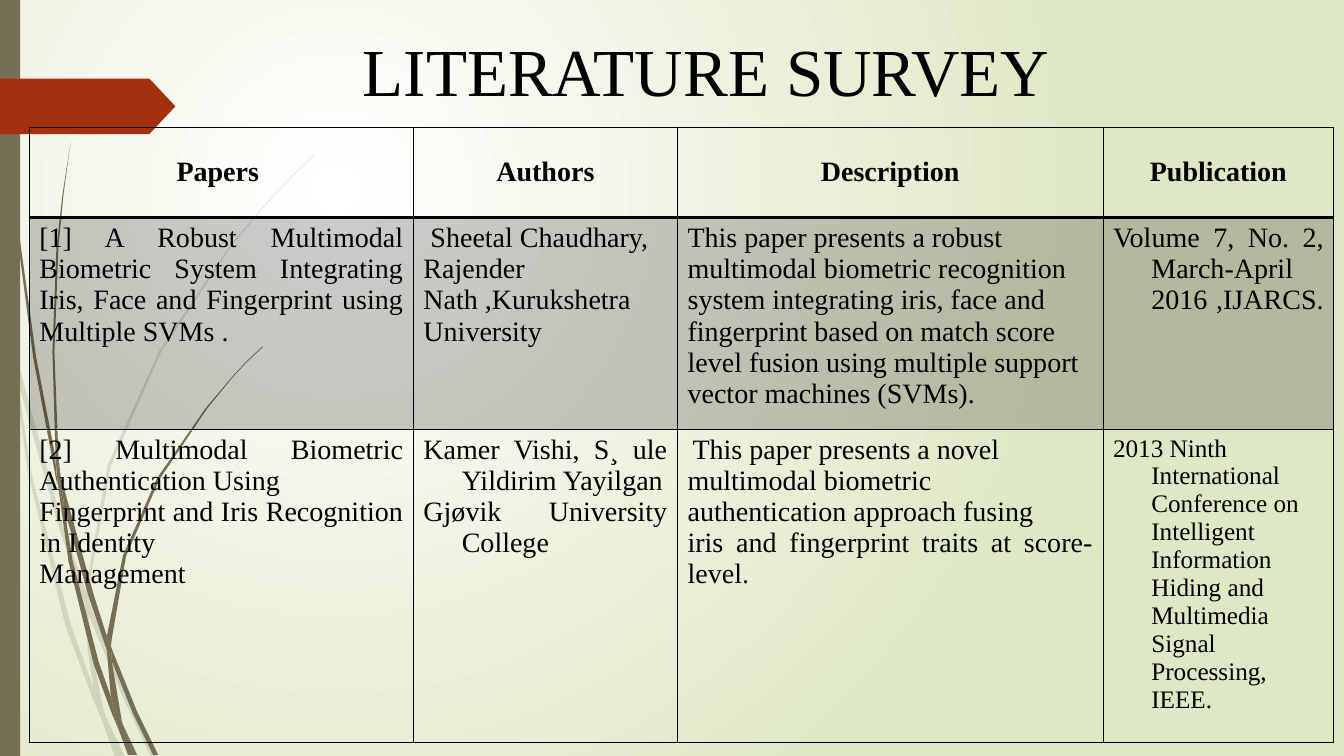
from dataclasses import dataclass

from lxml import etree
from pptx import Presentation
from pptx import util as u
from pptx.dml.color import RGBColor
from pptx.enum import shapes, text
from pptx.oxml import ns

EMU_PER_PX = 9144  # 100 px to the inch
FONT = "Times New Roman"
COLORS = {
    "ink": "000000",
    "olive": "766F54",
    "rust": "A53010",
    "glow": "FFFFFF",
    "meadow": "DFE8C4",
}
LEFT, CENTER, JUSTIFY = text.PP_ALIGN.LEFT, text.PP_ALIGN.CENTER, text.PP_ALIGN.JUSTIFY
THIN, THICK = 0.75, 2.25
Outline = tuple[tuple[int, int], ...]


@dataclass(frozen=True)
class Tuft:
    """A clump of grass: the outlines of its blades, in px."""
    alpha: int
    blades: tuple[Outline, ...]


@dataclass(frozen=True)
class Line:
    """One table paragraph; hang is its hanging indent in px."""
    words: str
    align: text.PP_ALIGN = LEFT
    hang: int = 0
    size: int = 20
    bold: bool = False
    lead: str = ""


@dataclass(frozen=True)
class Row:
    height: int
    cells: tuple[tuple[Line, ...], ...]
    shaded: bool = False
    anchor: text.MSO_ANCHOR = text.MSO_ANCHOR.TOP
    top: float = THIN
    bottom: float = THIN


PALE_TUFT = Tuft(20, (
    ((11, 350), (9, 322), (0, 282), (0, 299), (10, 344)),
    ((58, 522), (84, 599), (85, 586), (62, 520), (14, 345), (17, 376)),
    ((92, 607), (88, 596), (88, 610), (123, 694), (150, 751), (155, 751), (127, 692)),
    ((119, 751), (124, 751), (105, 711)),
    ((93, 683), (70, 619), (31, 469), (17, 376), (11, 350), (28, 470), (65, 621), (92, 693),
     (101, 714), (99, 707)),
    ((84, 599), (87, 646), (93, 683), (96, 692), (105, 711), (103, 706), (91, 646), (88, 610),
     (88, 608)),
    ((88, 584), (110, 462), (160, 349), (229, 245), (268, 198), (290, 175), (312, 154),
     (312, 153), (289, 175), (268, 197), (228, 244), (158, 348), (107, 461), (85, 584),
     (85, 586), (88, 596)),
    ((101, 714), (114, 751), (119, 751)),
    ((88, 608), (88, 610), (88, 596), (85, 586), (84, 599)),
    ((96, 692), (93, 683), (99, 707), (101, 714), (119, 751), (105, 711)),
))
DARK_TUFT = Tuft(100, (
    ((7, 110), (17, 233), (33, 355), (56, 477), (57, 481), (55, 457), (55, 453), (36, 355),
     (19, 232), (8, 109), (5, 48), (4, 0), (3, 0), (4, 48)),
    ((88, 592), (106, 645), (106, 633), (106, 631), (93, 590), (60, 472), (64, 505)),
    ((113, 649), (110, 641), (111, 656), (132, 708), (152, 749), (157, 749), (136, 706)),
    ((110, 691), (98, 657), (72, 556), (64, 505), (57, 477), (68, 557), (93, 659), (111, 708),
     (117, 722), (116, 717)),
    ((60, 472), (58, 453), (54, 349), (58, 245), (63, 193), (70, 141), (62, 193), (56, 245),
     (52, 349), (55, 449)),
    ((133, 749), (136, 749), (122, 719)),
    ((57, 477), (64, 505), (60, 472), (55, 449), (55, 453)),
    ((111, 633), (125, 552), (158, 476), (205, 406), (231, 374), (245, 359), (261, 344),
     (260, 344), (245, 358), (231, 373), (204, 405), (156, 474), (122, 551), (106, 631),
     (110, 641)),
    ((117, 722), (127, 749), (131, 749)),
    ((106, 645), (110, 691), (116, 706), (122, 719), (121, 716), (111, 656), (109, 651)),
    ((106, 645), (109, 651), (111, 656), (110, 641), (106, 631), (106, 633)),
    ((116, 706), (110, 691), (116, 717), (117, 722), (130, 749), (133, 749), (122, 719)),
))

COLUMNS = (381, 262, 422, 229)
HEADINGS = ("Papers ", "Authors", "Description", "Publication")
ROWS = (
    Row(90, tuple((Line(heading, CENTER, bold=True),) for heading in HEADINGS),
        anchor=text.MSO_ANCHOR.MIDDLE, bottom=THICK),
    Row(210, (
        (Line("[1] A Robust Multimodal Biometric System Integrating Iris, Face and "
              "Fingerprint using Multiple SVMs .", JUSTIFY),),
        (Line(" Sheetal Chaudhary, Rajender Nath ,Kurukshetra University"),),
        (Line("This paper presents a robust multimodal biometric recognition system "
              "integrating iris, face and fingerprint based on match score level fusion "
              "using multiple support vector machines (SVMs)."),),
        (Line("Volume 7, No. 2, March-April 2016 ,IJARCS. ", JUSTIFY, 38),),
    ), shaded=True, top=THICK),
    Row(310, (
        (Line("[2] Multimodal Biometric Authentication Using", JUSTIFY),
         Line("Fingerprint and Iris Recognition in Identity", JUSTIFY),
         Line("Management", JUSTIFY)),
        (Line("Kamer Vishi, S¸ ule Yildirim Yayilgan", JUSTIFY, 38),
         Line("Gjøvik University College", JUSTIFY, 38)),
        (Line("This paper presents a novel multimodal biometric authentication approach "
              "fusing", lead=" "),
         Line("iris and fingerprint traits at score-level.", JUSTIFY)),
        (Line("2013 Ninth International Conference on Intelligent Information Hiding and "
              "Multimedia Signal Processing, IEEE.", hang=38, size=18),),
    )),
)


def px(length: int) -> u.Emu:
    return u.Emu(length * EMU_PER_PX)


def paint(fill, color: str) -> None:
    fill.solid()
    fill.fore_color.rgb = RGBColor.from_string(COLORS[color])


def set_alpha(parent, percent: int) -> None:
    color = parent.find(f"{ns.qn('a:solidFill')}/{ns.qn('a:srgbClr')}")
    etree.SubElement(color, ns.qn("a:alpha"), val=str(percent * 1000))


def finish(shape, color: str) -> None:
    paint(shape.fill, color)
    shape.line.fill.background()
    shape.shadow.inherit = False


def add_run(paragraph, words: str, size: int, bold: bool = False) -> None:
    run = paragraph.add_run()
    run.text = words
    run.font.name, run.font.size, run.font.bold = FONT, u.Pt(size), bold
    run.font.color.rgb = RGBColor.from_string(COLORS["ink"])


def draw_tuft(slide, tuft: Tuft) -> None:
    group = slide.shapes.add_group_shape()
    for blade in tuft.blades:
        builder = group.shapes.build_freeform(*blade[0], scale=EMU_PER_PX)
        builder.add_line_segments(blade[1:], close=True)
        shape = builder.convert_to_shape()
        finish(shape, "olive")
        if tuft.alpha < 100:
            set_alpha(shape.element.spPr, tuft.alpha)


def draw_background(slide) -> None:
    fill = slide.background.fill
    fill.gradient()
    for stop, color in zip(fill.gradient_stops, ("glow", "meadow")):
        stop.color.rgb = RGBColor.from_string(COLORS[color])
    gradient = slide.element.find(f".//{ns.qn('a:gradFill')}")
    gradient.remove(gradient.find(ns.qn("a:lin")))
    circle = etree.SubElement(gradient, ns.qn("a:path"), path="circle")
    etree.SubElement(circle, ns.qn("a:fillToRect"), l="50000", t="50000", r="100000", b="100000")


def draw_borders(properties, row: Row) -> None:
    widths = {"lnL": THIN, "lnR": THIN, "lnT": row.top, "lnB": row.bottom}
    for index, (side, width) in enumerate(widths.items()):
        border = etree.Element(ns.qn(f"a:{side}"), w=str(u.Pt(width)))
        solid = etree.SubElement(border, ns.qn("a:solidFill"))
        etree.SubElement(solid, ns.qn("a:srgbClr"), val=COLORS["ink"])
        properties.insert(index, border)


def fill_cell(cell, lines: tuple[Line, ...], row: Row) -> None:
    cell.vertical_anchor = row.anchor
    frame = cell.text_frame
    for index, line in enumerate(lines):
        paragraph = frame.add_paragraph() if index else frame.paragraphs[0]
        paragraph.alignment = line.align
        if line.hang:
            properties = paragraph._p.get_or_add_pPr()
            properties.set("marL", str(px(line.hang)))
            properties.set("indent", str(-px(line.hang)))
        if line.lead:
            add_run(paragraph, line.lead, 14)
        add_run(paragraph, line.words, line.size, line.bold)
    properties = cell._tc.get_or_add_tcPr()
    if row.shaded:
        paint(cell.fill, "ink")
        set_alpha(properties, 20)
    else:
        cell.fill.background()
    draw_borders(properties, row)


def draw_table(slide) -> None:
    height = sum(row.height for row in ROWS)
    table = slide.shapes.add_table(len(ROWS), len(COLUMNS), px(29), px(126),
                                   px(sum(COLUMNS)), px(height)).table
    table.first_row = table.horz_banding = False
    for column, width in zip(table.columns, COLUMNS):
        column.width = px(width)
    for table_row, row in zip(table.rows, ROWS):
        table_row.height = px(row.height)
        for cell, lines in zip(table_row.cells, row.cells):
            fill_cell(cell, lines, row)


def main() -> None:
    presentation = Presentation()
    presentation.slide_width, presentation.slide_height = px(1333), px(750)
    slide = presentation.slides.add_slide(presentation.slide_layouts[6])
    draw_background(slide)
    for tuft in (PALE_TUFT, DARK_TUFT):
        draw_tuft(slide, tuft)
    # Side bar and arrow tag
    preset = shapes.MSO_SHAPE
    finish(slide.shapes.add_shape(preset.RECTANGLE, 0, 0, px(20), px(750)), "olive")
    tag = slide.shapes.add_shape(preset.PENTAGON, 0, px(78), px(174), px(55))
    tag.adjustments[0] = 0.47
    finish(tag, "rust")
    # Title
    title = slide.shapes.add_textbox(px(350), px(24), px(709), px(91))
    title.text_frame.word_wrap = False
    add_run(title.text_frame.paragraphs[0], "LITERATURE SURVEY", 48)
    draw_table(slide)
    presentation.save("out.pptx")


if __name__ == "__main__":
    main()
